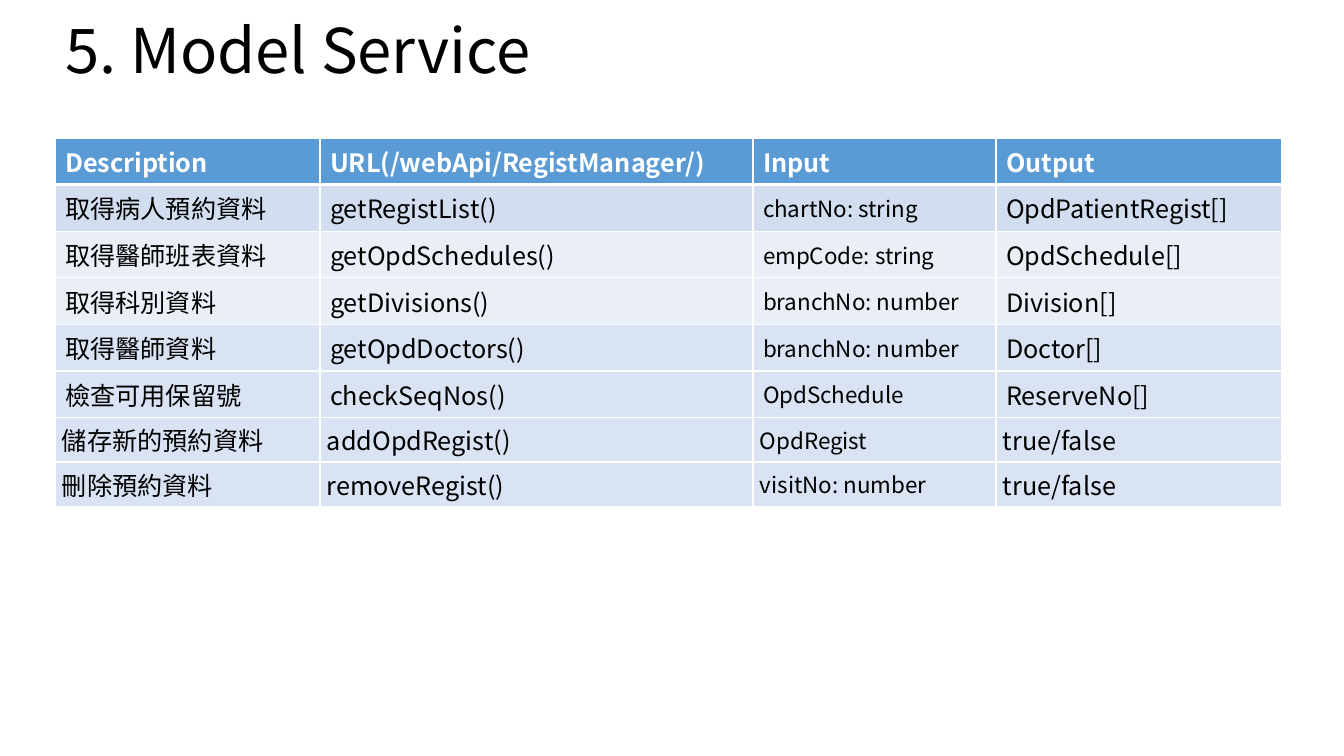
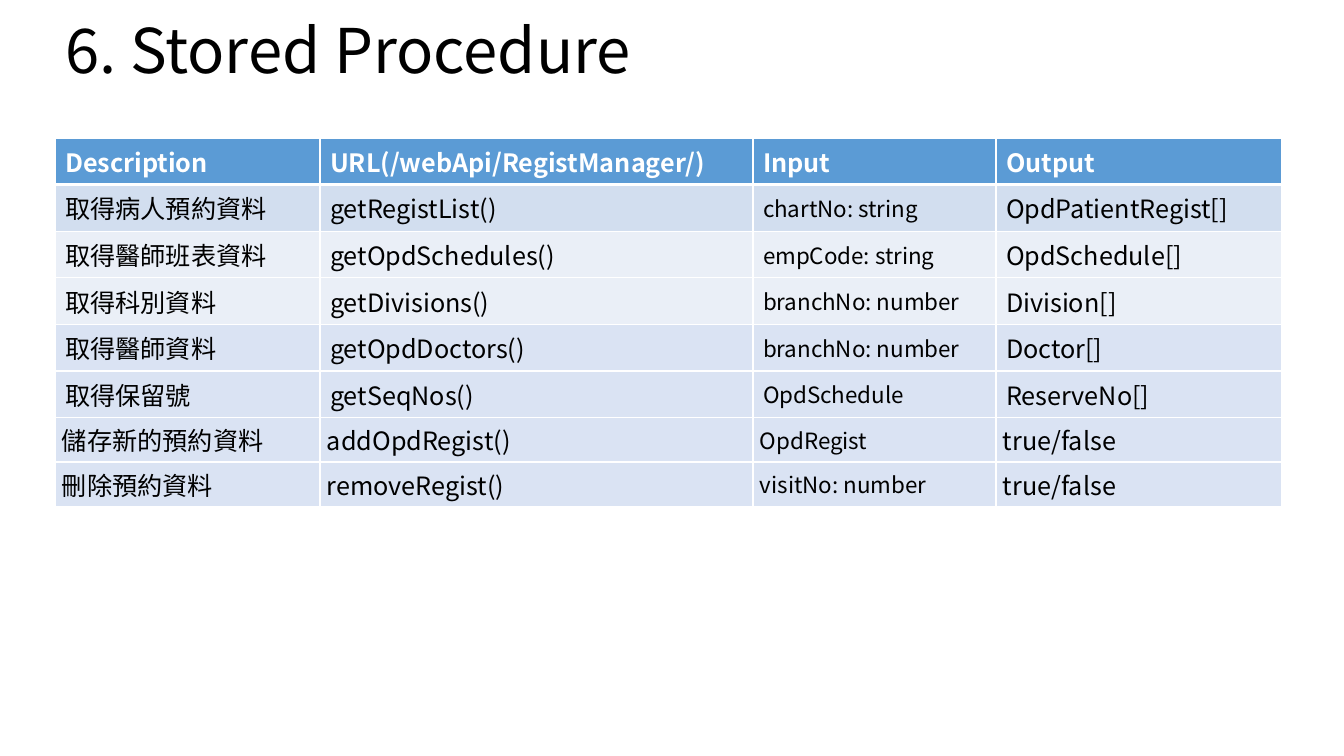
from lxml import etree
from pptx import Presentation
from pptx.dml.color import RGBColor
from pptx.enum.text import MSO_ANCHOR, MSO_AUTO_SIZE, PP_ALIGN
from pptx.oxml.ns import qn
from pptx.util import Emu, Pt

MIDDLE = MSO_ANCHOR.MIDDLE
NO_AUTOFIT = MSO_AUTO_SIZE.NONE
LEFT_ALIGN = PP_ALIGN.LEFT

PX_PER_INCH = 100.8
FONT = "Noto Sans CJK SC"
TITLE_ONLY = 5

WHITE = RGBColor(0xFF, 0xFF, 0xFF)
BLACK = RGBColor(0x00, 0x00, 0x00)
HEADER_BLUE = RGBColor(0x5B, 0x9B, 0xD5)
BAND_DARK = RGBColor(0xD2, 0xDE, 0xEF)
BAND_LIGHT = RGBColor(0xEA, 0xEF, 0xF7)
BAND_BLUE = RGBColor(0xDA, 0xE3, 0xF3)

LEFT = 55
TITLE_TOP, TITLE_HEIGHT = 14, 79
TABLE_TOP = 138
COLUMN_WIDTHS = (265, 433, 243, 286)
WIDTH = sum(COLUMN_WIDTHS)
ROW_HEIGHTS = (40,) * 6 + (37,) * 2
ROW_FILLS = (HEADER_BLUE, BAND_DARK, BAND_LIGHT, BAND_LIGHT) + (BAND_BLUE,) * 4
INPUT_COLUMN = 2
NARROW_ROWS = (6, 7)
NARROW_MARGINS = {
    "margin_left": 7, "margin_right": 7, "margin_top": 4, "margin_bottom": 4,
}

THIN_LINE, THICK_LINE = Pt(1), Pt(3)

HEADER = ("Description", "URL(/webApi/RegistManager/)", "Input", "Output")
QUERY_ROWS = (
    ("取得病人預約資料", "getRegistList()", "chartNo: string", "OpdPatientRegist[]"),
    ("取得醫師班表資料", "getOpdSchedules()", "empCode: string", "OpdSchedule[]"),
    ("取得科別資料", "getDivisions()", "branchNo: number", "Division[]"),
    ("取得醫師資料", "getOpdDoctors()", "branchNo: number", "Doctor[]"),
)
UPDATE_ROWS = (
    ("儲存新的預約資料", "addOpdRegist()", "OpdRegist", "true/false"),
    ("刪除預約資料", "removeRegist()", "visitNo: number", "true/false"),
)
# Each slide: title, description and function of its reserve number row
SLIDES = (
    ("5. Model Service", "檢查可用保留號", "checkSeqNos()"),
    ("6. Stored Procedure", "取得保留號", "getSeqNos()"),
)


def px(length):
    return Emu(round(length * 914400 / PX_PER_INCH))


def set_attributes(target, values):
    for name, value in values.items():
        setattr(target, name, value)


def write_text(frame, text, size, color, bold=False):
    """Put one run into the frame, with the same Latin and East Asian font."""
    para = frame.paragraphs[0]
    para.alignment = LEFT_ALIGN
    span = para.add_run()
    span.text = text
    set_attributes(span.font, {"name": FONT, "size": Pt(size), "bold": bold})
    span.font.color.rgb = color
    latin = span.font._element.find(qn("a:latin"))
    east_asian = etree.Element(qn("a:ea"), typeface=FONT)
    latin.addnext(east_asian)
    return para


def add_title(slide, text):
    title = slide.shapes.title
    set_attributes(title, {
        "left": px(LEFT), "top": px(TITLE_TOP),
        "width": px(WIDTH), "height": px(TITLE_HEIGHT),
    })
    set_attributes(title.text_frame, {
        "vertical_anchor": MIDDLE, "auto_size": NO_AUTOFIT, "word_wrap": True,
    })
    para = write_text(title.text_frame, text, 44, BLACK)
    para.line_spacing = 0.9


def add_borders(cell, row):
    """Draw thin white borders, with a thick rule below the header row."""
    widths = {
        "L": THIN_LINE,
        "R": THIN_LINE,
        "T": THICK_LINE if row == 1 else THIN_LINE,
        "B": THICK_LINE if row == 0 else THIN_LINE,
    }
    properties = cell._tc.get_or_add_tcPr()
    for side, width in widths.items():
        line = etree.SubElement(properties, qn(f"a:ln{side}"), w=str(width))
        fill = etree.SubElement(line, qn("a:solidFill"))
        etree.SubElement(fill, qn("a:srgbClr"), val=str(WHITE))


def format_cell(cell, row, column, text):
    is_header = row == 0
    cell.vertical_anchor = MIDDLE
    if row in NARROW_ROWS:
        set_attributes(cell, {name: px(gap) for name, gap in NARROW_MARGINS.items()})
    add_borders(cell, row)
    cell.fill.solid()
    cell.fill.fore_color.rgb = ROW_FILLS[row]
    size = 16 if column == INPUT_COLUMN and not is_header else 18
    write_text(cell.text_frame, text, size, WHITE if is_header else BLACK, is_header)


def add_service_table(slide, rows):
    frame = slide.shapes.add_table(
        len(rows), len(HEADER), px(LEFT), px(TABLE_TOP), px(WIDTH), px(sum(ROW_HEIGHTS))
    )
    table = frame.table
    for column, width in zip(table.columns, COLUMN_WIDTHS):
        column.width = px(width)
    for row, (texts, height) in enumerate(zip(rows, ROW_HEIGHTS)):
        table.rows[row].height = px(height)
        for column, text in enumerate(texts):
            format_cell(table.cell(row, column), row, column, text)


def main():
    deck = Presentation()
    deck.slide_width, deck.slide_height = px(1344), px(756)
    for title, description, function in SLIDES:
        slide = deck.slides.add_slide(deck.slide_layouts[TITLE_ONLY])
        add_title(slide, title)
        reserve_row = (description, function, "OpdSchedule", "ReserveNo[]")
        add_service_table(slide, (HEADER, *QUERY_ROWS, reserve_row, *UPDATE_ROWS))
    deck.save("out.pptx")


if __name__ == "__main__":
    main()
